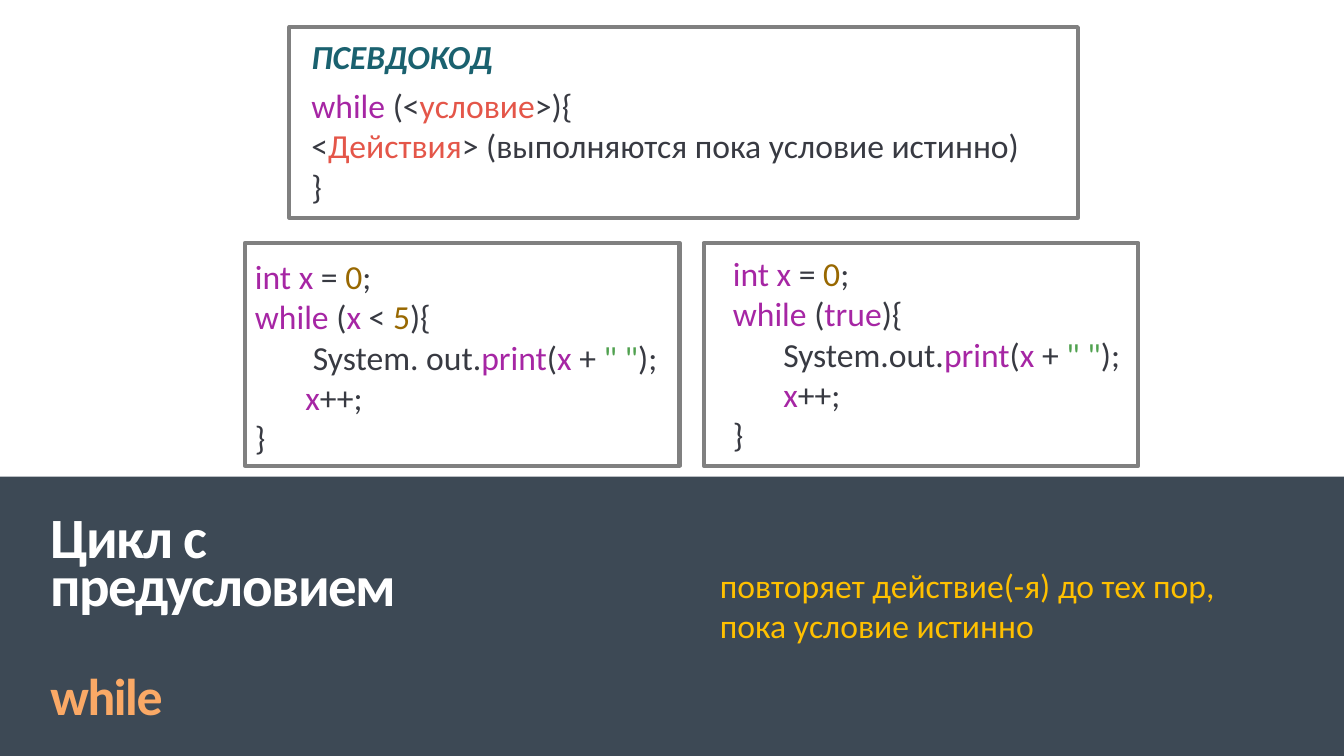
import pptx
import pptx.dml.color
import pptx.enum.shapes
import pptx.enum.text
import pptx.util
from pptx.util import Inches

FONT = "Calibri"
TEXT_SIZE = 24
KEYWORD, PLAIN, NUMBER = "A626A4", "383A42", "986801"
STRING, SLOT, HEADING = "50A14F", "E45649", "1A616F"
BAND, FRAME, WHITE = "3D4955", "808080", "FFFFFF"
ORANGE, YELLOW = "FAA966", "FFC000"
CODE_INDENT = 0.5


def color(hex_string):
    return pptx.dml.color.RGBColor.from_string(hex_string)


def add_runs(paragraph, runs, size=TEXT_SIZE, bold=False, italic=False):
    """Add (text, colour) runs; a newline in the text is a line break."""
    for text, hex_string in runs:
        for number, part in enumerate(text.split("\n")):
            if number:
                paragraph.add_line_break()
            run = paragraph.add_run()
            run.text = part
            run.font.name = FONT
            run.font.size = pptx.util.Pt(size)
            run.font.bold = bold
            run.font.italic = italic
            run.font.color.rgb = color(hex_string)


def next_paragraph(text_frame, first):
    return text_frame.paragraphs[0] if first else text_frame.add_paragraph()


def set_indent(paragraph, inches):
    properties = paragraph._p.get_or_add_pPr()
    properties.set("marL", str(Inches(inches)))
    properties.set("indent", "0")


def place(shape, left, top, width, height):
    shape.left, shape.top = Inches(left), Inches(top)
    shape.width, shape.height = Inches(width), Inches(height)


def add_rectangle(shapes, box, fill=None, line=None):
    shape = shapes.add_shape(
        pptx.enum.shapes.MSO_SHAPE.RECTANGLE, *map(Inches, box))
    shape.shadow.inherit = False
    if fill:
        shape.fill.solid()
        shape.fill.fore_color.rgb = color(fill)
    else:
        shape.fill.background()
    if line:
        shape.line.color.rgb = color(line)
        shape.line.width = pptx.util.Pt(3)
    else:
        shape.line.fill.background()
    return shape


def add_framed_text(slide, text_box, frame_box):
    """Group a text box with its grey frame and return the text frame."""
    group = slide.shapes.add_group_shape()
    text_frame = group.shapes.add_textbox(*map(Inches, text_box)).text_frame
    text_frame.word_wrap = True
    add_rectangle(group.shapes, frame_box, line=FRAME)
    return text_frame


def add_pseudocode(slide):
    text_frame = add_framed_text(
        slide, (2.99, 0.31, 8.04, 1.8), (2.87, 0.27, 7.82, 1.89))
    heading = text_frame.paragraphs[0]
    add_runs(heading, [("ПСЕВДОКОД", HEADING)], bold=True, italic=True)
    code = text_frame.add_paragraph()
    add_runs(code, [
        ("while", KEYWORD), (" (<", PLAIN), ("условие", SLOT),
        (">){\n<", PLAIN), ("Действия", SLOT),
        ("> (выполняются пока условие истинно)\n}", PLAIN)])
    for paragraph in (heading, code):
        paragraph.space_after = pptx.util.Pt(6)


def add_loop_example(slide, text_left, text_top, frame_left, condition, output):
    text_frame = add_framed_text(
        slide, (text_left, text_top, 4.51, 2.12), (frame_left, 2.41, 4.31, 2.21))
    lines = [
        (0, [("int x", KEYWORD), (" = ", PLAIN), ("0", NUMBER), (";", PLAIN)]),
        (0, [("while", KEYWORD), (" (", PLAIN), *condition, ("){", PLAIN)]),
        (CODE_INDENT, [
            (output, PLAIN), ("print", KEYWORD), ("(", PLAIN), ("x", KEYWORD),
            (" + ", PLAIN), ('" "', STRING), (");", PLAIN)]),
        (CODE_INDENT, [("x", KEYWORD), ("++;", PLAIN)]),
        (0, [("}", PLAIN)]),
    ]
    for number, (indent, runs) in enumerate(lines):
        paragraph = next_paragraph(text_frame, number == 0)
        set_indent(paragraph, indent)
        add_runs(paragraph, runs)


def fill_title(title):
    place(title, 0.4, 5, 4.91, 2.23)
    text_frame = title.text_frame
    text_frame.word_wrap = True
    text_frame.auto_size = pptx.enum.text.MSO_AUTO_SIZE.NONE
    text_frame.vertical_anchor = pptx.enum.text.MSO_ANCHOR.BOTTOM
    lines = [("Цикл с предусловием", WHITE, 40.7, 12), ("while", ORANGE, 37, 46)]
    for number, (text, hex_string, size, space_before) in enumerate(lines):
        paragraph = next_paragraph(text_frame, number == 0)
        paragraph.alignment = pptx.enum.text.PP_ALIGN.LEFT
        paragraph.line_spacing = 0.7
        paragraph.space_before = pptx.util.Pt(space_before)
        add_runs(paragraph, [(text, hex_string)], size, bold=True)
        for run in paragraph.runs:
            run.font._element.set("spc", "-100")


def fill_description(body):
    place(body, 7.04, 5.55, 5.67, 0.91)
    text_frame = body.text_frame
    text_frame.word_wrap = True
    text_frame.auto_size = pptx.enum.text.MSO_AUTO_SIZE.NONE
    paragraph = text_frame.paragraphs[0]
    set_indent(paragraph, 0)
    paragraph.space_before = pptx.util.Pt(0)
    # No bullet
    properties = paragraph._p.get_or_add_pPr()
    properties.append(pptx.oxml.parse_xml(
        '<a:buNone xmlns:a="http://schemas.openxmlformats.org/drawingml/2006/main"/>'))
    add_runs(paragraph, [
        ("повторяет действие(-я) до тех пор, пока условие истинно", YELLOW)])


def main():
    presentation = pptx.Presentation()
    presentation.slide_width = Inches(13.33)
    presentation.slide_height = Inches(7.5)
    slide = presentation.slides.add_slide(presentation.slide_layouts[1])
    title, body = slide.placeholders

    # Dark band, behind the title and the description
    band = add_rectangle(slide.shapes, (0, 4.73, 13.33, 2.77), fill=BAND)
    title.element.addprevious(band.element)
    fill_title(title)
    fill_description(body)

    # Pseudocode and two examples
    add_pseudocode(slide)
    add_loop_example(
        slide, 2.43, 2.49, 2.43,
        [("x", KEYWORD), (" < ", PLAIN), ("5", NUMBER)], " System. оut.")
    add_loop_example(
        slide, 7.17, 2.46, 6.98, [("true", KEYWORD)], "System.оut.")

    presentation.save("out.pptx")


if __name__ == "__main__":
    main()
